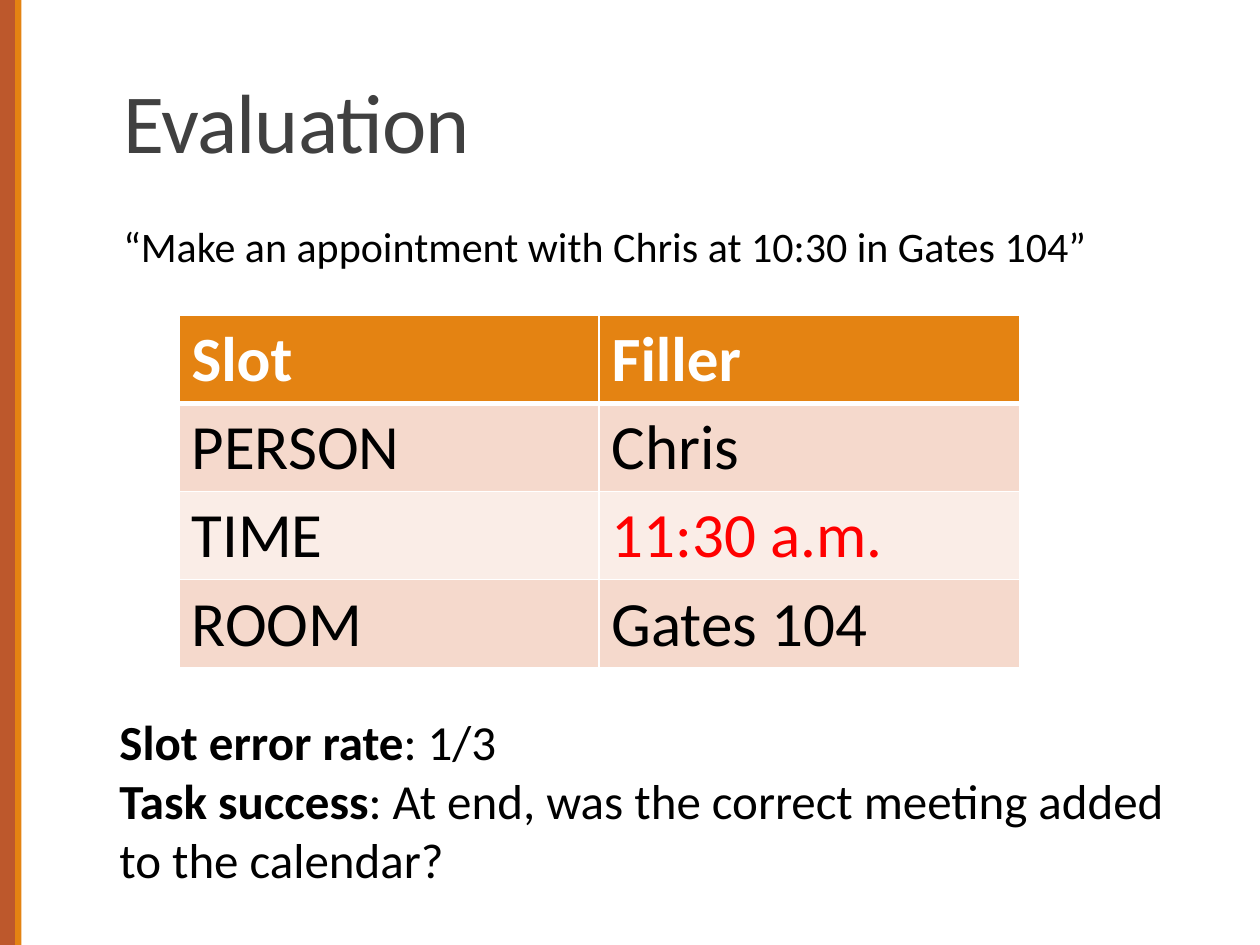
import pptx
import pptx.dml.color
import pptx.enum.shapes
import pptx.enum.text
import pptx.oxml
import pptx.oxml.ns
import pptx.util
from pptx.util import Inches

RUST, ORANGE, WHITE, BLACK = "BD582C", "E48312", "FFFFFF", "000000"
DARK_GREY, RED = "404040", "FF0000"
BAND_DARK, BAND_LIGHT = "F5D9CC", "FAEDE7"


def colour(hex_code):
    return pptx.dml.color.RGBColor.from_string(hex_code)


def write(paragraph, text, size=24, color=BLACK, bold=False, spacing=None):
    """Append a formatted run; spacing is in hundredths of a point."""
    run = paragraph.add_run()
    run.text = text
    run.font.name = "Calibri"
    run.font.size = pptx.util.Pt(size)
    run.font.bold = bold
    run.font.color.rgb = colour(color)
    if spacing is not None:
        run.font._element.set("spc", str(spacing))


def set_borders(cell, **widths):
    """Draw white borders; widths are points keyed by side: L, R, T, B."""
    properties = cell._tc.get_or_add_tcPr()
    for side, points in widths.items():
        properties.append(pptx.oxml.parse_xml(
            f'<a:ln{side} {pptx.oxml.ns.nsdecls("a")} w="{pptx.util.Pt(points)}">'
            f'<a:solidFill><a:srgbClr val="{WHITE}"/></a:solidFill></a:ln{side}>'))


class Deck:
    def __init__(self):
        self.presentation = pptx.Presentation()
        self.presentation.slide_width = Inches(10)
        self.presentation.slide_height = Inches(7.5)
        self.slide = self.presentation.slides.add_slide(
            self.presentation.slide_layouts[6])

    def stripe(self, left, width, fill):
        stripe = self.slide.shapes.add_shape(
            pptx.enum.shapes.MSO_SHAPE.RECTANGLE,
            Inches(left), 0, Inches(width), self.presentation.slide_height)
        stripe.shadow.inherit = False
        stripe.fill.solid()
        stripe.fill.fore_color.rgb = colour(fill)
        stripe.line.fill.background()

    def text_box(self, left, top, width, height, wrap=True):
        frame = self.slide.shapes.add_textbox(
            Inches(left), Inches(top), Inches(width), Inches(height)).text_frame
        frame.word_wrap = wrap
        return frame

    def table(self, left, top, width, height, rows):
        table = self.slide.shapes.add_table(
            len(rows), len(rows[0]), Inches(left), Inches(top),
            Inches(width), Inches(height)).table
        for r, row in enumerate(rows):
            header = r == 0
            fill = ORANGE if header else BAND_DARK if r % 2 else BAND_LIGHT
            for c, (text, color) in enumerate(row):
                cell = table.cell(r, c)
                set_borders(cell, L=1, R=1, T=3 if r == 1 else 1,
                            B=3 if header else 1)
                cell.fill.solid()
                cell.fill.fore_color.rgb = colour(fill)
                write(cell.text_frame.paragraphs[0], text, size=36,
                      color=color, bold=header)


def main():
    deck = Deck()
    deck.stripe(0, 0.12, RUST)
    deck.stripe(0.12, 0.05, ORANGE)

    title = deck.text_box(0.88, 0.58, 8.25, 0.82)
    title.vertical_anchor = pptx.enum.text.MSO_ANCHOR.BOTTOM
    title.paragraphs[0].line_spacing = 0.85
    write(title.paragraphs[0], "Evaluation", size=48, color=DARK_GREY, spacing=-50)

    deck.table(1.42, 2.5, 6.67, 2.8, [
        [("Slot", WHITE), ("Filler", WHITE)],
        [("PERSON", BLACK), ("Chris", BLACK)],
        [("TIME", BLACK), ("11:30 a.m.", RED)],
        [("ROOM", BLACK), ("Gates 104", BLACK)],
    ])

    request = deck.text_box(0.88, 1.7, 7.91, 0.5, wrap=False)
    write(request.paragraphs[0],
          "“Make an appointment with Chris at 10:30 in Gates 104”")

    metrics = deck.text_box(0.85, 5.6, 8.76, 1.51)
    for paragraph, name, meaning in (
            (metrics.paragraphs[0], "Slot error rate", ": 1/3"),
            (metrics.add_paragraph(), "Task success",
             ": At end, was the correct meeting added to the calendar?")):
        write(paragraph, name, size=28, bold=True)
        write(paragraph, meaning, size=28)

    deck.presentation.save("out.pptx")


if __name__ == "__main__":
    main()
